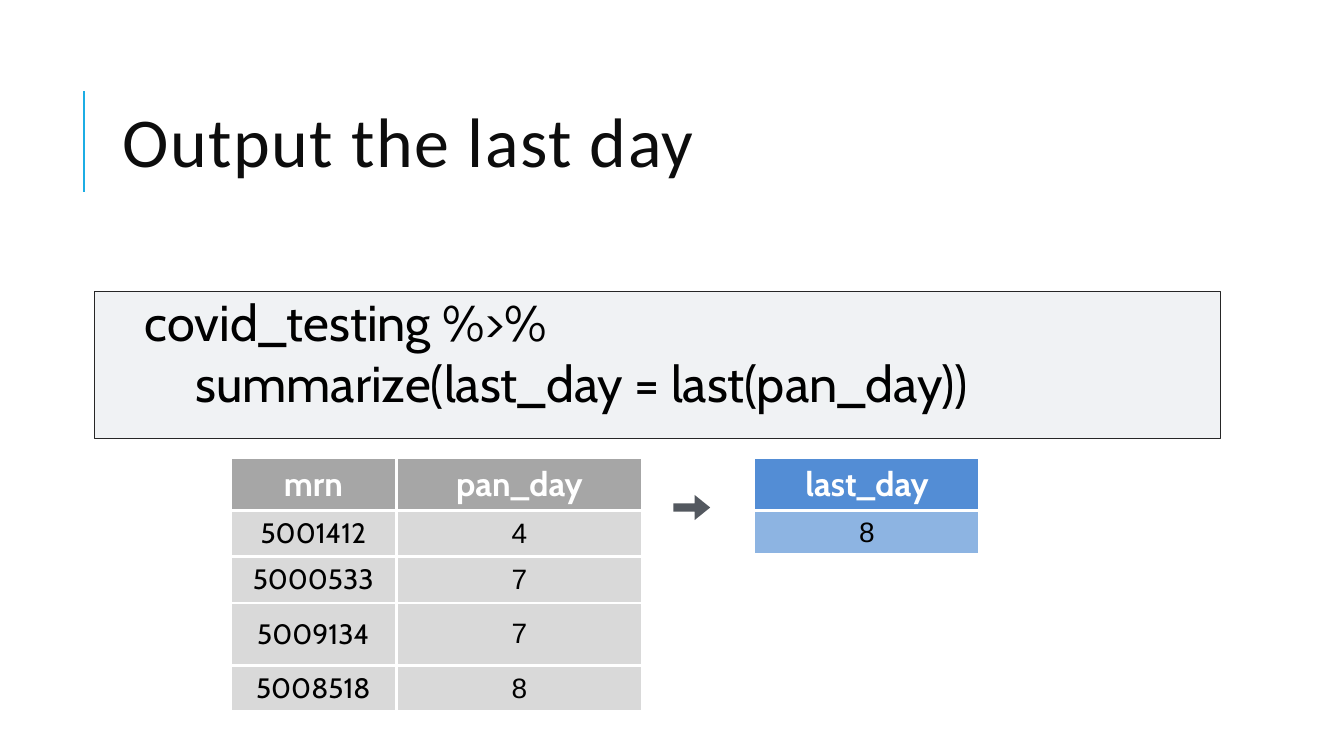
from lxml.etree import SubElement
from pptx import Presentation
from pptx.dml.color import RGBColor
from pptx.enum.shapes import MSO_CONNECTOR as Connector, MSO_SHAPE as Shape
from pptx.enum.text import MSO_ANCHOR as Anchor, MSO_AUTO_SIZE as AutoSize, PP_ALIGN as Align
from pptx.oxml import parse_xml
from pptx.oxml.ns import nsdecls, qn
from pptx.util import Pt

COLORS = {
    "accent": "1CADE4", "title": "0D0D0D", "text": "000000", "white": "FFFFFF",
    "code_fill": "F0F2F4", "code_line": "262626", "arrow": "53585F",
    "gray_head": "A6A6A6", "gray_body": "D9D9D9",
    "blue_head": "538DD5", "blue_body": "8DB4E2",
}


def color(name):
    return RGBColor.from_string(COLORS[name])


def add_data_table(page, left, top, widths, heights, rows, head_fill, body_fill):
    frame = page.shapes.add_table(len(rows), len(widths), Pt(left), Pt(top),
                                  Pt(sum(widths)), Pt(sum(heights)))
    table = frame.table
    for column, width in zip(table.columns, widths):
        column.width = Pt(width)
    for row, height in zip(table.rows, heights):
        row.height = Pt(height)
    for row_index, values in enumerate(rows):
        is_head = row_index == 0
        for column_index, value in enumerate(values):
            cell = table.cell(row_index, column_index)
            cell.text = value
            cell.vertical_anchor = Anchor.MIDDLE
            cell.margin_left = cell.margin_right = Pt(3.6)
            cell.margin_top = cell.margin_bottom = Pt(4.3)
            cell.fill.solid()
            cell.fill.fore_color.rgb = color(head_fill if is_head else body_fill)
            para = cell.text_frame.paragraphs[0]
            para.alignment = Align.CENTER
            para.font.name = "Cabin" if is_head or value.startswith("500") else "Arial"
            para.font.size = Pt(24 if is_head else 20)
            para.font.bold = is_head
            para.font.color.rgb = color("white" if is_head else "text")
            # White borders on all four sides
            properties = cell._tc.get_or_add_tcPr()
            for position, side in enumerate("LRTB"):
                properties.insert(position, parse_xml(
                    f'<a:ln{side} {nsdecls("a")} w="{Pt(2.25)}"><a:solidFill>'
                    f'<a:srgbClr val="{COLORS["white"]}"/></a:solidFill></a:ln{side}>'))


deck = Presentation()
deck.slide_width, deck.slide_height = Pt(960), Pt(540)
page = deck.slides.add_slide(deck.slide_layouts[5])

# Accent line beside the title
accent = page.shapes.add_connector(Connector.STRAIGHT, Pt(60), Pt(137), Pt(60), Pt(65))
accent.line.color.rgb = color("accent")
accent.line.width = Pt(1.5)
SubElement(accent._element.spPr, qn("a:effectLst"))

# Title
title = page.shapes.title
title.left, title.top, title.width, title.height = Pt(80.6), Pt(46), Pt(765.4), Pt(118)
title.text_frame.text = "Output the last day"
title.text_frame.auto_size = AutoSize.NONE
title.text_frame.vertical_anchor = Anchor.MIDDLE
para = title.text_frame.paragraphs[0]
para.alignment = Align.LEFT
para.line_spacing = 0.8
span = para.runs[0]
span.font.name = "Calibri"
span.font.size = Pt(50)
span.font.color.rgb = color("title")
span.font._element.set("spc", "100")

# Code box
code = page.shapes.add_shape(Shape.RECTANGLE, Pt(67.5), Pt(208.3), Pt(804.3), Pt(105))
code.shadow.inherit = False
code.fill.solid()
code.fill.fore_color.rgb = color("code_fill")
code.line.color.rgb = color("code_line")
code.line.width = Pt(0.75)
box = code.text_frame
box.margin_left = box.margin_right = box.margin_top = box.margin_bottom = 0
box.vertical_anchor = Anchor.TOP
box.word_wrap = True
box.text = "\tcovid_testing %>%\n  \t\tsummarize(last_day = last(pan_day))"
for para in box.paragraphs:
    para.alignment = Align.LEFT
    para.font.name = "Cabin"
    para.font.size = Pt(36)
    para.font.color.rgb = color("text")

# Input table, arrow and result table
add_data_table(page, 164.4, 327, [118.8, 175.7], [29.5, 29.5, 29.5, 44.6, 29.5],
               [("mrn", "pan_day"), ("5001412", "4"), ("5000533", "7"),
                ("5009134", "7"), ("5008518", "8")], "gray_head", "gray_body")

arrow = page.shapes.add_shape(Shape.RIGHT_ARROW, Pt(481), Pt(353.5), Pt(26.3), Pt(18))
arrow.shadow.inherit = False
arrow.adjustments[0] = 0.33
arrow.adjustments[1] = 0.62
arrow.fill.solid()
arrow.fill.fore_color.rgb = color("arrow")
arrow.line.fill.background()

add_data_table(page, 538.6, 327, [161.3], [29.5, 29.5],
               [("last_day",), ("8",)], "blue_head", "blue_body")

deck.save("out.pptx")
